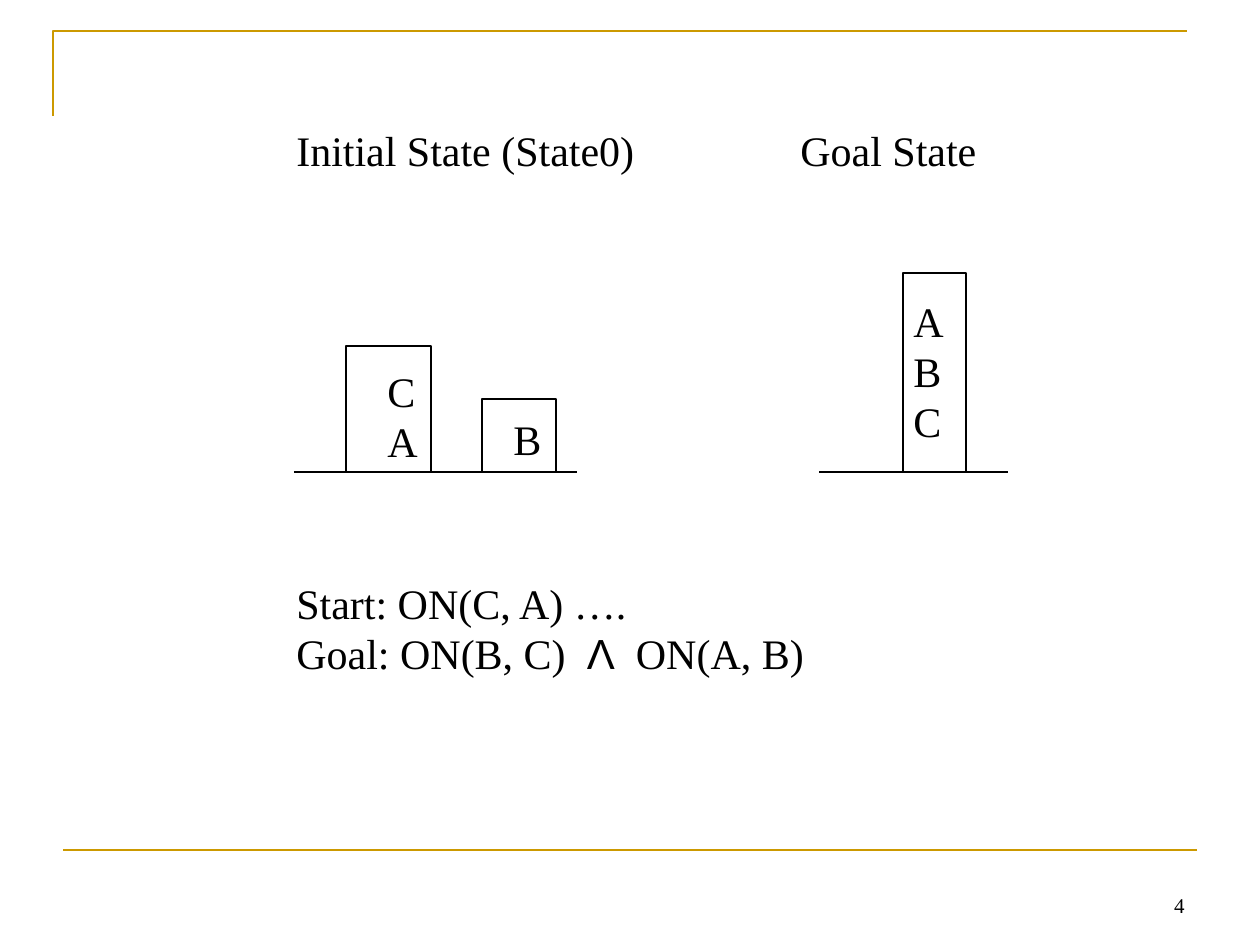
from pptx import Presentation
from pptx.dml.color import RGBColor
from pptx.enum.shapes import MSO_CONNECTOR, MSO_SHAPE
from pptx.enum.text import MSO_ANCHOR, PP_ALIGN
from pptx.oxml.ns import qn
from pptx.util import Emu, Inches, Pt
from lxml import etree

LINE, RECT = MSO_CONNECTOR.STRAIGHT, MSO_SHAPE.RECTANGLE
BOTTOM, RIGHT = MSO_ANCHOR.BOTTOM, PP_ALIGN.RIGHT
PX = 914400 / 126
BLACK, GOLD = "000000", "CC9900"
SERIF, SANS = "Times New Roman", "Arial"


def px(n):
    return Emu(round(n * PX))


def add_text(box, paragraphs, size=24):
    """Add a text box; each paragraph is a list of (text, font) runs."""
    tf = s.shapes.add_textbox(*map(px, box)).text_frame
    tf.word_wrap = True
    for i, runs in enumerate(paragraphs):
        p = tf.paragraphs[0] if i == 0 else tf.add_paragraph()
        p.line_spacing = Pt(size * 1.2)
        for text, font in runs:
            r = p.add_run()
            r.text = text
            r.font.name = font
            r.font.size = Pt(size)
            r.font.color.rgb = RGBColor.from_string(BLACK)
    return tf


prs = Presentation()
prs.slide_width, prs.slide_height = Inches(10), Inches(7.5)
s = prs.slides.add_slide(prs.slide_layouts[6])

# Corner frame
builder = s.shapes.build_freeform(53, 116, scale=PX)
builder.add_line_segments([(53, 31), (1187, 31)], close=False)
frame = builder.convert_to_shape()
frame.shadow.inherit = False
frame.fill.background()
frame.line.color.rgb = RGBColor.from_string(GOLD)
frame.line.width = Pt(1.5)

# Footer rule and the two tables the blocks stand on
for x1, x2, y, color, width in [
    (63, 1197, 850, GOLD, 1.5),
    (294, 577, 472, BLACK, 0.75),
    (819, 1008, 472, BLACK, 0.75),
]:
    line = s.shapes.add_connector(LINE, px(x1), px(y), px(x2), px(y))
    line.line.color.rgb = RGBColor.from_string(color)
    line.line.width = Pt(width)
    etree.SubElement(line._element.spPr, qn("a:effectLst"))

# Headings and statements, aligned on two tab stops
tf = add_text((158, 118, 955, 694), [
    [("\tInitial State (State0)\tGoal State", SERIF)],
    [("\tStart: ON(C, A) ….", SERIF)],
    [("\tGoal: ON(B, C)  ", SERIF), ("Λ", SANS), ("  ON(A, B)", SERIF)],
])
tf.paragraphs[1].space_before = Pt(230)
for p in tf.paragraphs:
    tabs = etree.SubElement(p._p.get_or_add_pPr(), qn("a:tabLst"))
    for stop in (1, 5):
        etree.SubElement(tabs, qn("a:tab"), pos=str(Inches(stop)), algn="l")

# Block stacks: outline and label box
for outline, label, letters in [
    ((346, 346, 85, 126), (375, 359, 56, 113), "CA"),
    ((482, 399, 74, 73), (501, 407, 53, 63), "B"),
    ((903, 273, 63, 199), (901, 289, 56, 214), "ABC"),
]:
    block = s.shapes.add_shape(RECT, *map(px, outline))
    block.shadow.inherit = False
    block.fill.background()
    block.line.color.rgb = RGBColor.from_string(BLACK)
    block.line.width = Pt(0.75)
    add_text(label, [[(letter, SERIF)] for letter in letters])

# Slide number
tf = add_text((903, 861, 294, 63), [[("4", SERIF)]], size=12)
tf.vertical_anchor = BOTTOM
tf.paragraphs[0].alignment = RIGHT

prs.save("out.pptx")
